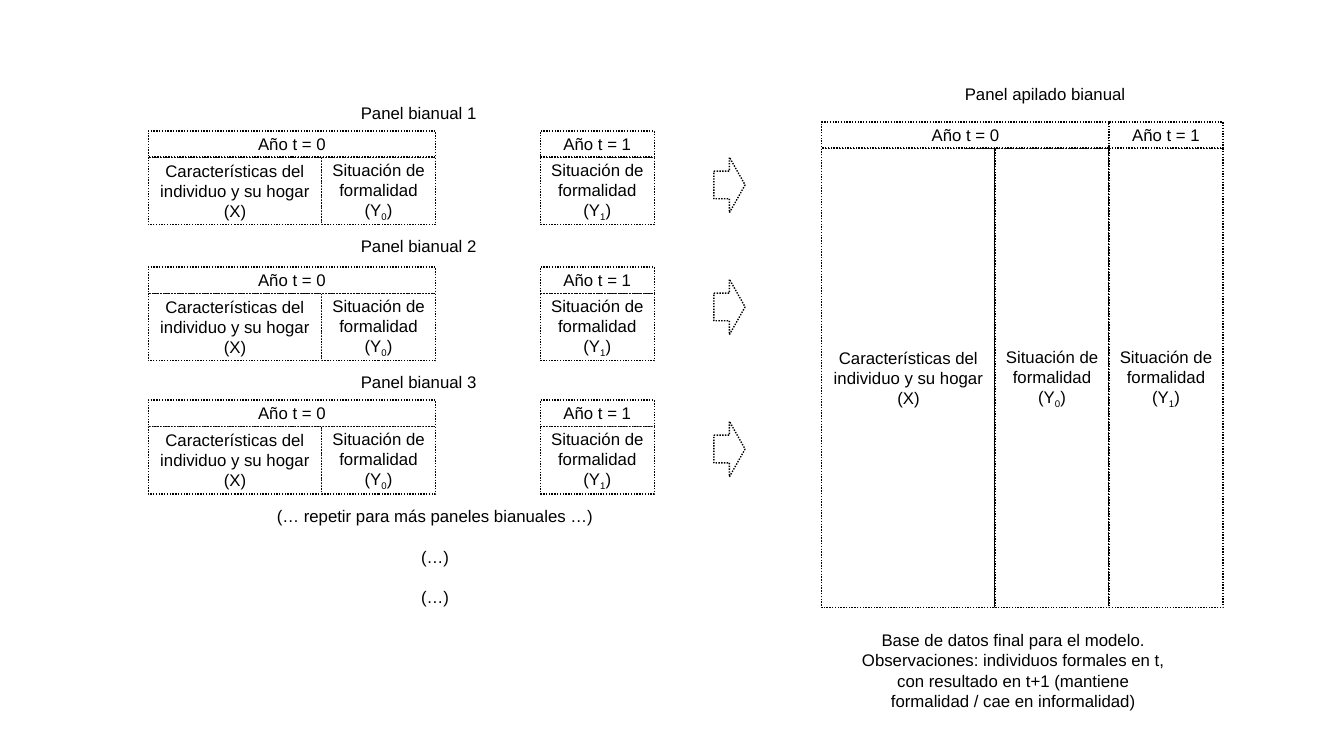
from dataclasses import dataclass

from lxml import etree
from pptx import Presentation
from pptx import util as u
from pptx.dml.color import RGBColor
from pptx.enum import dml, shapes, text
from pptx.oxml.ns import qn

# Content: a bar separates the subscript from the text around it
FEATURES = "Características del individuo y su hogar (X)"
STATUS_0 = "Situación de formalidad (Y|0|)"
STATUS_1 = "Situación de formalidad (Y|1|)"
YEAR_0, YEAR_1 = "Año t = 0", "Año t = 1"

# Title, title top, header top, arrow top
PANELS = [
    ("Panel bianual 1", 0.97, 1.30, 1.56),
    ("Panel bianual 2", 2.29, 2.65, 2.77),
    ("Panel bianual 3", 3.64, 3.97, 4.18),
]
STACKED_TITLE = "Panel apilado bianual"
REPEAT = ["(… repetir para más paneles bianuales …)", "(…)", "(…)"]
CAPTION = [
    "Base de datos final para el modelo.",
    "Observaciones: individuos formales en t, con resultado en t+1 "
    "(mantiene formalidad / cae en informalidad)",
]


@dataclass(frozen=True)
class Theme:
    font: str = "Arial"
    size: int = 12
    ink: RGBColor = RGBColor(0, 0, 0)
    paper: RGBColor = RGBColor(255, 255, 255)
    line: float = 1
    subscript: str = "-25000"


THEME = Theme()

# Measures in inches
FEATURES_W, STATUS_W, HEADER_H = 1.72, 1.13, 0.26
YEAR_0_W = FEATURES_W + STATUS_W
PANEL_X, PANEL_YEAR_1_X, PANEL_BODY_H = 1.47, 5.36, 0.67
STACKED_X, STACKED_Y, STACKED_BODY_H = 8.15, 1.21, 4.56

prs = Presentation()
prs.slide_width, prs.slide_height = u.Inches(13.33), u.Inches(7.5)
slide = prs.slides.add_slide(prs.slide_layouts[6])


def write(frame, lines, align, gap=0):
    """Fill a text frame, one paragraph for each line."""
    frame.word_wrap = True
    for i, line in enumerate(lines):
        paragraph = frame.paragraphs[0] if i == 0 else frame.add_paragraph()
        paragraph.alignment = align
        if i:
            paragraph.space_before = u.Pt(gap)
        paragraph.font.name = THEME.font
        paragraph.font.size = u.Pt(THEME.size)
        paragraph.font.color.rgb = THEME.ink
        for j, part in enumerate(line.split("|")):
            run = paragraph.add_run()
            run.text = part
            if j == 1:
                run._r.get_or_add_rPr().set("baseline", THEME.subscript)


def dotted(kind, x, y, w, h):
    """Add a white shape with a dotted outline."""
    shape = slide.shapes.add_shape(kind, *map(u.Inches, (x, y, w, h)))
    shape.shadow.inherit = False
    shape.fill.solid()
    shape.fill.fore_color.rgb = THEME.paper
    shape.line.color.rgb = THEME.ink
    shape.line.width = u.Pt(THEME.line)
    shape.line.dash_style = dml.MSO_LINE.ROUND_DOT
    return shape


def cell(label, x, y, w, h):
    frame = dotted(shapes.MSO_SHAPE.RECTANGLE, x, y, w, h).text_frame
    frame.vertical_anchor = text.MSO_ANCHOR.MIDDLE
    frame.margin_left = frame.margin_right = u.Inches(0.05)
    frame.margin_top = frame.margin_bottom = 0
    write(frame, [label], text.PP_ALIGN.CENTER)


def note(lines, x, y, w, h, align=text.PP_ALIGN.LEFT, gap=0):
    box = slide.shapes.add_textbox(*map(u.Inches, (x, y, w, h)))
    write(box.text_frame, lines, align, gap)


def panel(x, year_1_x, y, body_h):
    """Draw both years: headers above, variables below."""
    body_y = y + HEADER_H
    cell(FEATURES, x, body_y, FEATURES_W, body_h)
    cell(STATUS_0, x + FEATURES_W, body_y, STATUS_W, body_h)
    cell(YEAR_0, x, y, YEAR_0_W, HEADER_H)
    cell(STATUS_1, year_1_x, body_y, STATUS_W, body_h)
    cell(YEAR_1, year_1_x, y, STATUS_W, HEADER_H)


# Two-year panels, each with its arrow
for title, title_y, header_y, arrow_y in PANELS:
    panel(PANEL_X, PANEL_YEAR_1_X, header_y, PANEL_BODY_H)
    note([title], 3.48, title_y, 1.7, 0.3)
    dotted(shapes.MSO_SHAPE.RIGHT_ARROW, 7.08, arrow_y, 0.31, 0.55)
note(REPEAT, 2.49, 4.97, 3.65, 1.41, text.PP_ALIGN.CENTER, gap=14.4)

# Stacked panel
panel(STACKED_X, STACKED_X + YEAR_0_W, STACKED_Y, STACKED_BODY_H)
note([STACKED_TITLE], 9.47, 0.78, 1.81, 0.3)
note(CAPTION, 8.42, 6.2, 3.26, 0.91, text.PP_ALIGN.CENTER)

prs.save("out.pptx")
